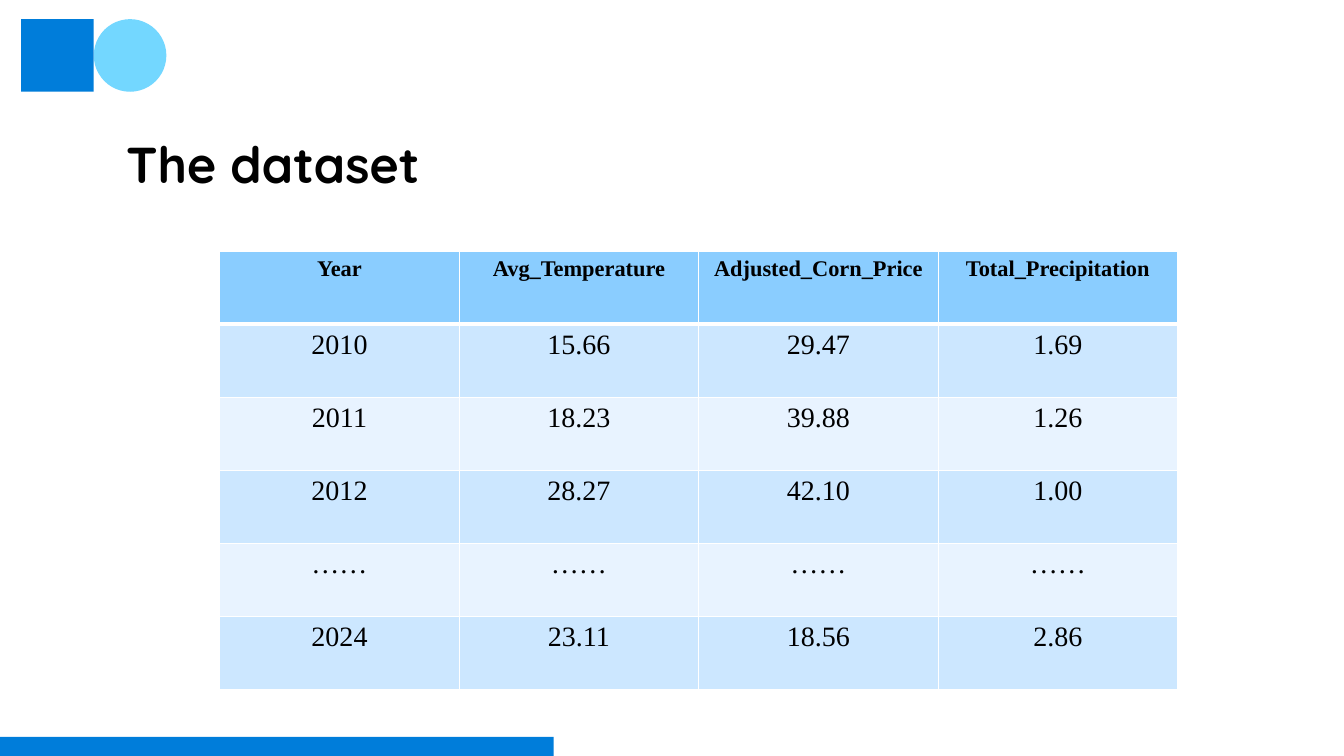
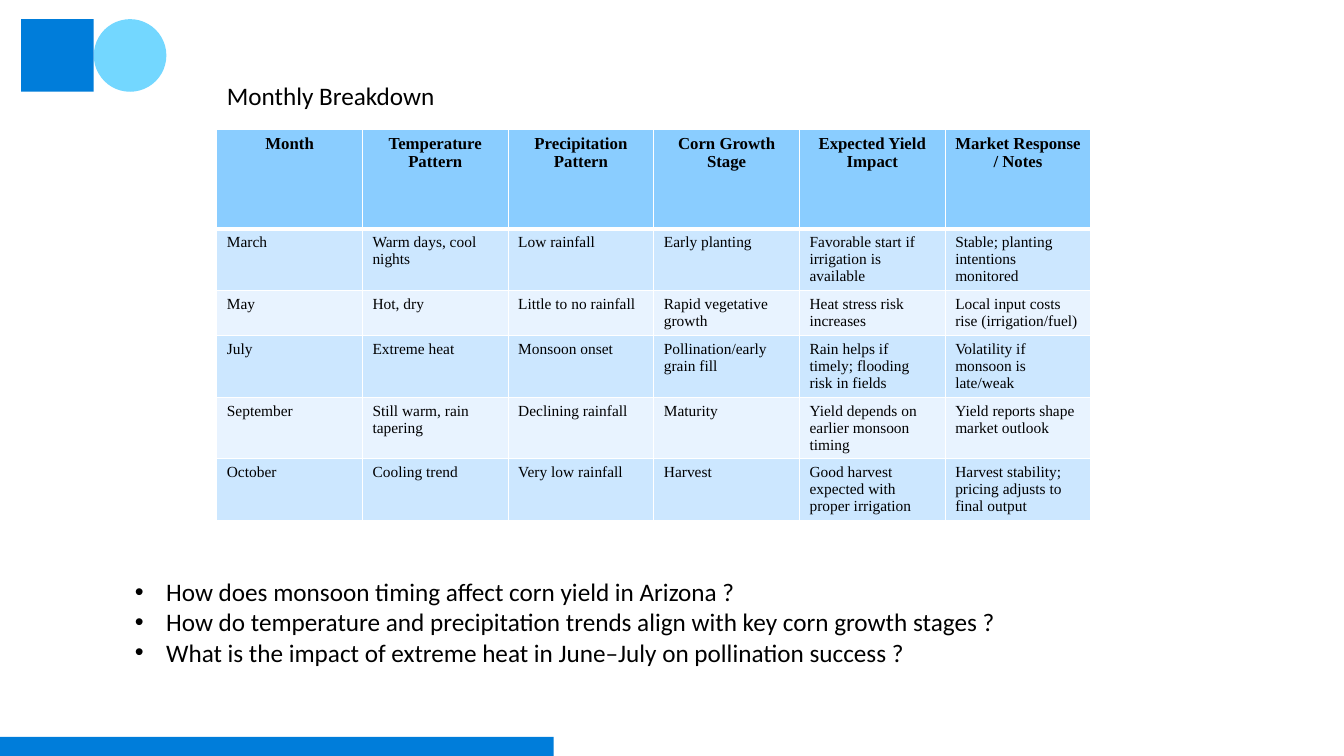
"""Builds two slides about corn prices and weather, sharing one theme."""
from dataclasses import dataclass

from lxml.etree import SubElement
from pptx import Presentation
from pptx.dml.color import RGBColor
from pptx.enum.shapes import MSO_SHAPE
from pptx.enum.text import MSO_ANCHOR, MSO_AUTO_SIZE, PP_ALIGN
from pptx.oxml import parse_xml
from pptx.oxml.ns import nsdecls, qn
from pptx.util import Inches, Pt


@dataclass(frozen=True)
class Theme:
    """Colours, fonts and type sizes of the deck."""
    ink: str = "000000"
    paper: str = "FFFFFF"
    blue: str = "007DDA"
    sky: str = "73D7FF"
    header: str = "8ACDFF"
    bands: tuple = ("CCE7FF", "E8F3FF")
    title_font: str = "Quicksand"
    body_font: str = "Calibri"
    table_font: str = "Times New Roman"
    title_size: int = 36
    body_size: int = 18
    thin: int = 1
    thick: int = 3


THEME = Theme()
SLIDE_WIDTH, SLIDE_HEIGHT = 13.33, 7.5
BADGE = 0.72
BAR_WIDTH, BAR_HEIGHT = 5.49, 0.19
DECORATION = [
    (MSO_SHAPE.OVAL, THEME.sky, (0.21 + BADGE, 0.19, BADGE, BADGE)),
    (MSO_SHAPE.RECTANGLE, THEME.blue, (0.21, 0.19, BADGE, BADGE)),
    (MSO_SHAPE.RECTANGLE, THEME.blue, (0, SLIDE_HEIGHT - BAR_HEIGHT, BAR_WIDTH, BAR_HEIGHT)),
]

DATASET = [
    ("Year", "Avg_Temperature", "Adjusted_Corn_Price", "Total_Precipitation"),
    ("2010", "15.66", "29.47", "1.69"),
    ("2011", "18.23", "39.88", "1.26"),
    ("2012", "28.27", "42.10", "1.00"),
    ("……", "……", "……", "……"),
    ("2024", "23.11", "18.56", "2.86"),
]
MONTHS = [
    ("Month", "Temperature Pattern", "Precipitation Pattern", "Corn Growth Stage",
     "Expected Yield Impact", "Market Response / Notes"),
    ("March", "Warm days, cool nights", "Low rainfall", "Early planting",
     "Favorable start if irrigation is available", "Stable; planting intentions monitored"),
    ("May", "Hot, dry", "Little to no rainfall", "Rapid vegetative growth",
     "Heat stress risk increases", "Local input costs rise (irrigation/fuel)"),
    ("July", "Extreme heat", "Monsoon onset", "Pollination/early grain fill",
     "Rain helps if timely; flooding risk in fields", "Volatility if monsoon is late/weak"),
    ("September", "Still warm, rain tapering", "Declining rainfall", "Maturity",
     "Yield depends on earlier monsoon timing", "Yield reports shape market outlook"),
    ("October", "Cooling trend", "Very low rainfall", "Harvest",
     "Good harvest expected with proper irrigation",
     "Harvest stability; pricing adjusts to final output"),
]
QUESTIONS = [
    "How does monsoon timing affect corn yield in Arizona ?",
    "How do temperature and precipitation trends align with key corn growth stages ?",
    "What is the impact of extreme heat in June–July on pollination success ?",
]


def write(para, text, font, size, bold=False, align=PP_ALIGN.LEFT):
    """Add one formatted run to a paragraph."""
    para.alignment = align
    span = para.add_run()
    span.text = text
    span.font.name, span.font.size, span.font.bold = font, Pt(size), bold
    span.font.color.rgb = RGBColor.from_string(THEME.ink)


def add_page(deck, title, area, font, size, bold, anchor, inset):
    """Add a title-only page with the shared decoration and a placed title."""
    page = deck.slides.add_slide(deck.slide_layouts[5])
    page.background.fill.solid()
    page.background.fill.fore_color.rgb = RGBColor.from_string(THEME.paper)
    for kind, color, place in DECORATION:
        shape = page.shapes.add_shape(kind, *map(Inches, place))
        shape.shadow.inherit = False
        shape.fill.solid()
        shape.fill.fore_color.rgb = RGBColor.from_string(color)
        shape.line.fill.background()
    box = page.shapes.title
    box.left, box.top, box.width, box.height = map(Inches, area)
    frame = box.text_frame
    frame.word_wrap, frame.auto_size = True, MSO_AUTO_SIZE.NONE
    frame.vertical_anchor = anchor
    frame.margin_left = frame.margin_right = Inches(inset)
    frame.margin_top = frame.margin_bottom = Inches(inset / 2)
    write(frame.paragraphs[0], title, font, size, bold)
    return page


def set_borders(cell, top, bottom):
    """Draw the four white borders of a cell."""
    properties = cell._tc.get_or_add_tcPr()
    widths = {"lnL": THEME.thin, "lnR": THEME.thin, "lnT": top, "lnB": bottom}
    for index, (side, width) in enumerate(widths.items()):
        properties.insert(index, parse_xml(
            f'<a:{side} {nsdecls("a")} w="{Pt(width)}"><a:solidFill>'
            f'<a:srgbClr val="{THEME.paper}"/></a:solidFill></a:{side}>'))


def add_grid(page, rows, left, top, width, heights, header_size, size, align):
    """Add a banded table with equal columns and a centred header."""
    count = len(rows[0])
    table = page.shapes.add_table(len(rows), count, Inches(left), Inches(top),
                                  Inches(width), Inches(sum(heights))).table
    table.horz_banding = False
    for column in table.columns:
        column.width = Inches(width / count)
    for number, (values, height) in enumerate(zip(rows, heights)):
        table.rows[number].height = Inches(height)
        is_header = number == 0
        fill = THEME.header if is_header else THEME.bands[(number - 1) % 2]
        for column, value in enumerate(values):
            cell = table.cell(number, column)
            cell.fill.solid()
            cell.fill.fore_color.rgb = RGBColor.from_string(fill)
            set_borders(cell, THEME.thick if number == 1 else THEME.thin,
                        THEME.thick if is_header else THEME.thin)
            write(cell.text_frame.paragraphs[0], value, THEME.table_font,
                  header_size if is_header else size, is_header,
                  PP_ALIGN.CENTER if is_header else align)


def add_bullets(page, lines, area):
    """Add a bulleted list in a text box."""
    frame = page.shapes.add_textbox(*map(Inches, area)).text_frame
    frame.word_wrap = True
    for index, line in enumerate(lines):
        para = frame.add_paragraph() if index else frame.paragraphs[0]
        properties = para._p.get_or_add_pPr()
        properties.set("marL", str(Inches(0.31)))
        properties.set("indent", str(-Inches(0.31)))
        SubElement(properties, qn("a:buFont")).set("typeface", "Arial")
        SubElement(properties, qn("a:buChar")).set("char", "•")
        write(para, line, THEME.body_font, THEME.body_size)


def main():
    """Build and save the deck."""
    deck = Presentation()
    deck.slide_width, deck.slide_height = Inches(SLIDE_WIDTH), Inches(SLIDE_HEIGHT)

    page = add_page(deck, "The dataset", (1.25, 1, 10.83, 0.92), THEME.title_font,
                    THEME.title_size, True, MSO_ANCHOR.BOTTOM, 0)
    add_grid(page, DATASET, 2.18, 2.49, 9.5, [4.35 / len(DATASET)] * len(DATASET),
             16, 20, PP_ALIGN.CENTER)

    page = add_page(deck, "Monthly Breakdown", (2.15, 0.75, 6.55, 0.53), THEME.body_font,
                    THEME.body_size, False, MSO_ANCHOR.TOP, 0.1)
    add_grid(page, MONTHS, 2.15, 1.28, 8.67, [0.99, 0.61, 0.45, 0.61, 0.61, 0.61],
             12, 11, PP_ALIGN.LEFT)
    add_bullets(page, QUESTIONS, (1.24, 5.67, 10.24, 1.01))

    deck.save("out.pptx")


if __name__ == "__main__":
    main()
